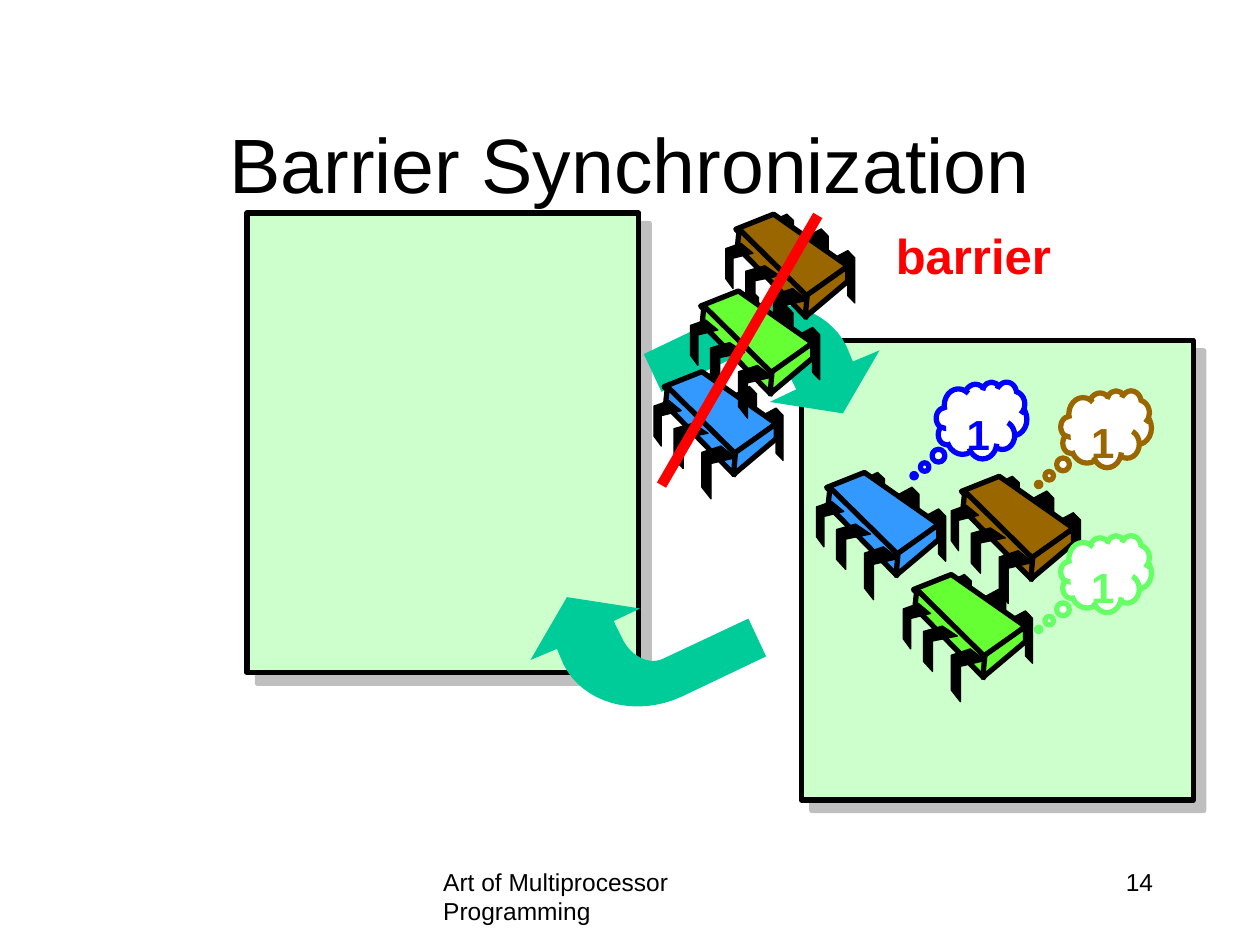
from dataclasses import dataclass

from lxml.etree import SubElement
from pptx import Presentation
from pptx.dml.color import RGBColor
from pptx.enum.shapes import MSO_CONNECTOR, MSO_SHAPE
from pptx.enum.text import MSO_ANCHOR as Anchor, PP_ALIGN as Align
from pptx.oxml.ns import qn
from pptx.util import Pt

Point = tuple[float, float]
BLACK, RED, BLUE, BROWN, GREEN = "000000", "FF0000", "3399FF", "996600", "66FF33"


@dataclass
class Box:
    left: float
    top: float
    width: float
    height: float

    def emu(self):
        return [Pt(v) for v in (self.left, self.top, self.width, self.height)]


@dataclass
class Chip:
    left: float
    top: float
    color: str


@dataclass
class Thought:
    left: float
    top: float
    color: str


# Leg outlines as fractions of the leg's box
FAR_LEG = [(0, 0.14), (0.66, 0), (1, 0.14), (1, 1), (0.66, 0.86), (0.66, 0.29), (0, 0.43)]
NEAR_LEG = [(0.56, 0), (1, 0.22), (0.27, 0.33), (0.27, 1), (0, 0.78), (0, 0.12)]
FAR_BOXES = [Box(62, 20.8, 11.8, 29.9), Box(46.8, 8.4, 11.8, 29.9), Box(27.4, 0, 11.4, 25.9)]
NEAR_BOXES = [Box(27.4, 42.5, 19.4, 30.2), Box(11.5, 29.5, 19.4, 25.9),
              Box(0, 16.6, 15.6, 25.9)]
CHIP_FACES = [
    [(27.4, 0), (69.8, 29.7), (45.9, 47.4), (5.8, 8.6)],
    [(7.7, 8.6), (46.6, 47), (46, 59), (6.6, 18.9)],
    [(69.8, 29.7), (69.8, 38.3), (45.4, 58.8), (46.6, 46.1)],
]
ROOMS = [Box(457.9, 194.4, 223.9, 262.8), Box(141.1, 121.7, 223.9, 262.8)]
WAITING_CHIPS = [Chip(373.7, 212.4, BLUE), Chip(414.7, 122.4, BROWN), Chip(394.6, 166.3, GREEN)]
PASSED_CHIPS = [Chip(466.6, 270, BLUE), Chip(543.6, 272.2, BROWN), Chip(516.2, 328.3, GREEN)]
THOUGHTS = [Thought(606.2, 223.2, BROWN), Thought(535, 218.2, "0000FF"),
            Thought(606.2, 306, "66FF66")]


def rgb(color: str) -> RGBColor:
    return RGBColor.from_string(color)


def paint(shape, fill: str, line: str | None = None, width: float = 0) -> None:
    shape.shadow.inherit = False
    shape.fill.solid()
    shape.fill.fore_color.rgb = rgb(fill)
    if line is None:
        shape.line.fill.background()
    else:
        shape.line.color.rgb = rgb(line)
        shape.line.width = Pt(width)


def outline(shapes, points: list[Point]):
    """Build a closed polygon from points."""
    start, *rest = [(Pt(x), Pt(y)) for x, y in points]
    builder = shapes.build_freeform(*start)
    builder.add_line_segments(rest, close=True)
    return builder.convert_to_shape()


def curve(a: Point, b: Point, c: Point, d: Point, steps: int = 16) -> list[Point]:
    """Sample a cubic Bézier curve."""
    points = []
    for step in range(steps + 1):
        t = step / steps
        weights = ((1 - t) ** 3, 3 * t * (1 - t) ** 2, 3 * t * t * (1 - t), t ** 3)
        points.append(tuple(sum(w * p[axis] for w, p in zip(weights, (a, b, c, d)))
                            for axis in (0, 1)))
    return points


def write(shape, text: str, size: float, color: str = BLACK, bold: bool = False,
          align=Align.LEFT, anchor=Anchor.TOP, **frame_format) -> None:
    frame = shape.text_frame
    frame_values = {"word_wrap": True, "vertical_anchor": anchor} | frame_format
    for name, value in frame_values.items():
        setattr(frame, name, value)
    paragraph = frame.paragraphs[0]
    paragraph.alignment = align
    run = paragraph.add_run()
    run.text = text
    for name, value in {"name": "Arial", "size": Pt(size), "bold": bold}.items():
        setattr(run.font, name, value)
    run.font.color.rgb = rgb(color)


def draw_room(shapes, room: Box) -> None:
    shape = shapes.add_shape(MSO_SHAPE.RECTANGLE, *room.emu())
    paint(shape, "CCFFCC", BLACK, 3)
    effects = shape._element.spPr.find(qn("a:effectLst"))
    shadow = SubElement(effects, qn("a:outerShdw"), blurRad="0", dist=str(Pt(8.5)),
                        dir="2700000", algn="ctr", rotWithShape="0")
    shade = SubElement(shadow, qn("a:srgbClr"), val="808080")
    SubElement(shade, qn("a:alpha"), val="50000")


def draw_chip(shapes, chip: Chip) -> None:
    parts = shapes.add_group_shape().shapes

    def draw_part(points: list[Point], fill: str, width: float) -> None:
        placed = [(chip.left + x, chip.top + y) for x, y in points]
        paint(outline(parts, placed), fill, BLACK, width)

    def draw_legs(boxes: list[Box], leg: list[Point]) -> None:
        for box in boxes:
            points = [(box.left + x * box.width, box.top + y * box.height) for x, y in leg]
            draw_part(points, BLACK, 0.75)

    draw_legs(FAR_BOXES, FAR_LEG)
    for face in CHIP_FACES:
        draw_part(face, chip.color, 3)
    draw_legs(NEAR_BOXES, NEAR_LEG)


def draw_thought(shapes, thought: Thought) -> None:
    cloud = shapes.add_shape(MSO_SHAPE.CLOUD_CALLOUT,
                             *Box(thought.left, thought.top, 51.8, 43.9).emu())
    cloud.adjustments[0], cloud.adjustments[1] = -0.745, 0.722
    paint(cloud, "FFFFFF", thought.color, 3)
    write(cloud, "1", 24, thought.color, True, Align.CENTER, margin_top=Pt(8.4))


def draw_arrows(shapes) -> None:
    """Draw the bent arrow to the right room and its half-turn back to the left."""
    forward = [
        (481.7, 236.2), (502.6, 200.2), (487.4, 206.6),
        *curve((483.8, 198), (473, 175.7), (442.8, 167), (416.2, 179.3)),
        (367.9, 202.3), (378, 223.9),
        *curve((427, 200.9), (434.9, 197.3), (445.7, 202.3), (450.7, 213.8)),
        (455, 222.5), (439.9, 229.7),
    ]
    back = [(805.7 - x, 577.4 - y) for x, y in forward]
    for points in (forward, back):
        paint(outline(shapes, points), "00CC99")


def draw_barrier(shapes) -> None:
    barrier = shapes.add_connector(MSO_CONNECTOR.STRAIGHT,
                                   Pt(378), Pt(277.2), Pt(467.3), Pt(123.1))
    barrier.line.color.rgb = rgb(RED)
    barrier.line.width = Pt(6)
    SubElement(barrier._element.spPr, qn("a:effectLst"))


def main() -> None:
    deck = Presentation()
    deck.slide_width, deck.slide_height = Pt(720), Pt(540)
    slide = deck.slides.add_slide(deck.slide_layouts[5])
    shapes = slide.shapes

    title = shapes.title
    title.left, title.top, title.width, title.height = Box(54, 48.2, 612, 90).emu()
    for room in ROOMS:
        draw_room(shapes, room)
    draw_arrows(shapes)
    write(title, "Barrier Synchronization", 44, align=Align.CENTER, anchor=Anchor.MIDDLE)

    footer = shapes.add_textbox(*Box(246.2, 491.8, 228.2, 36).emu())
    write(footer, "Art of Multiprocessor Programming", 14)
    page_number = shapes.add_textbox(*Box(516.2, 491.8, 149.8, 36).emu())
    write(page_number, "14", 14, align=Align.RIGHT)

    for chip in WAITING_CHIPS:
        draw_chip(shapes, chip)
    draw_barrier(shapes)
    for chip in PASSED_CHIPS:
        draw_chip(shapes, chip)
    for thought in THOUGHTS:
        draw_thought(shapes, thought)
    barrier_label = shapes.add_textbox(*Box(504, 121.7, 104.4, 41).emu())
    write(barrier_label, "barrier", 28, RED, True, Align.CENTER,
          word_wrap=False, margin_top=Pt(7.2))
    deck.save("out.pptx")


if __name__ == "__main__":
    main()
